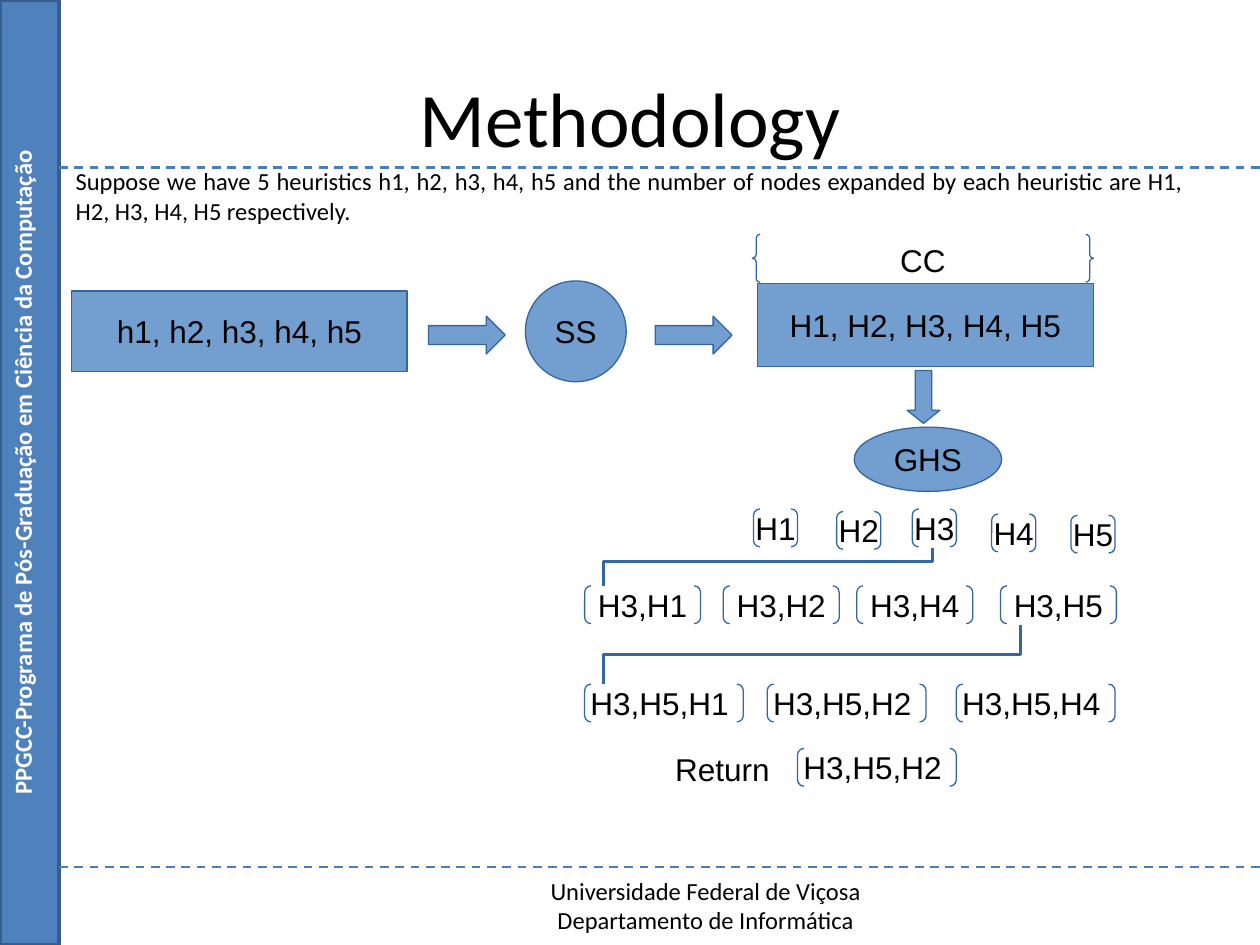
import dataclasses
import lxml.etree
import pptx
import pptx.dml.color
import pptx.enum.dml
import pptx.enum.shapes
import pptx.enum.text
import pptx.oxml.ns
import pptx.util

FORM = pptx.enum.shapes.MSO_SHAPE
LINK = pptx.enum.shapes.MSO_CONNECTOR
SIDE = pptx.enum.text.PP_ALIGN
HOLD = pptx.enum.text.MSO_ANCHOR
COLS, ROWS = 100, 75


@dataclasses.dataclass(frozen=True)
class Theme:
    ink: str = "000000"
    pale: str = "FFFFFF"
    bar: str = "4F81BD"
    rim: str = "385D8A"
    rule: str = "4A7EBB"
    fill: str = "729FCF"
    edge: str = "3465A4"
    prose: str = "Calibri"
    label: str = "Arial"
    head: int = 44
    node: int = 18
    note: int = 14


LOOK = Theme()


def grid(*cells):
    return [pptx.util.Inches(cell / 10) for cell in cells]


def tint(code):
    return pptx.dml.color.RGBColor.from_string(code)


def write(frame, lines, size, face, color=LOOK.ink, align=SIDE.CENTER, bold=False):
    for rank, line in enumerate(lines):
        para = frame.paragraphs[0] if rank == 0 else frame.add_paragraph()
        para.alignment = align
        para.space_before = pptx.util.Pt(0)
        run = para.add_run()
        run.text = line
        run.font.size = pptx.util.Pt(size)
        run.font.name = face
        run.font.bold = bold
        run.font.color.rgb = tint(color)


def place(item, cells):
    item.left, item.top, item.width, item.height = grid(*cells)


def note(slide, cells, lines, size, face, turn=0, **style):
    box = slide.shapes.add_textbox(*grid(*cells))
    box.rotation = turn
    box.text_frame.word_wrap = True
    write(box.text_frame, lines, size, face, **style)


def node(slide, form, cells, text="", fill=LOOK.fill, edge=LOOK.edge, width=0, bends=()):
    item = slide.shapes.add_shape(form, *grid(*cells))
    item.shadow.inherit = False
    if fill:
        item.fill.solid()
        item.fill.fore_color.rgb = tint(fill)
    else:
        item.fill.background()
    item.line.color.rgb = tint(edge)
    item.line.width = pptx.util.Pt(width)
    for rank, bend in enumerate(bends):
        item.adjustments[rank] = bend
    if text:
        item.text_frame.word_wrap = False
        item.text_frame.vertical_anchor = HOLD.MIDDLE
        write(item.text_frame, [text], LOOK.node, LOOK.label)


def group(slide, left, top, width, text):
    node(slide, FORM.DOUBLE_BRACKET, (left, top, width, 3), text, fill=None, bends=(0.17,))


def link(slide, kind, cells, color, width):
    item = slide.shapes.add_connector(kind, *grid(*cells))
    item.line.color.rgb = tint(color)
    item.line.width = pptx.util.Pt(width)
    lxml.etree.SubElement(item._element.spPr, pptx.oxml.ns.qn("a:effectLst"))
    return item


def rule(slide, row):
    item = link(slide, LINK.STRAIGHT, (4.7, row, COLS, row), LOOK.rule, 1.25)
    item.line.dash_style = pptx.enum.dml.MSO_LINE.DASH


def elbow(slide, right, top, left, base, bend):
    midx, midy = (left + right) / 2, (top + base) / 2
    halfx, halfy = (base - top) / 2, (right - left) / 2
    ends = (midx - halfx, midy - halfy, midx + halfx, midy + halfy)
    item = link(slide, LINK.ELBOW, ends, LOOK.edge, 0)
    props = item._element.spPr
    props.find(pptx.oxml.ns.qn("a:xfrm")).set("rot", "5400000")
    values = props.find(".//" + pptx.oxml.ns.qn("a:avLst"))
    guide = lxml.etree.SubElement(values, pptx.oxml.ns.qn("a:gd"))
    guide.set("name", "adj1")
    guide.set("fmla", f"val {round(bend * 100000)}")


def heads(slide):
    title, body = slide.placeholders
    place(title, (5, 3, 90, 12.5))
    title.text_frame.vertical_anchor = HOLD.MIDDLE
    write(title.text_frame, ["Methodology"], LOOK.head, LOOK.prose)
    place(body, (5, 12.7, 90, 53.9))
    props = body.text_frame.paragraphs[0]._p.get_or_add_pPr()
    props.set("marL", "0")
    props.set("indent", "0")
    lxml.etree.SubElement(props, pptx.oxml.ns.qn("a:buNone"))
    write(body.text_frame, [
        "Suppose we have 5 heuristics h1, h2, h3, h4, h5 and the number of nodes "
        "expanded by each heuristic are H1, H2, H3, H4, H5 respectively."
    ], LOOK.note, LOOK.prose, align=SIDE.JUSTIFY)


def trim(slide):
    node(slide, FORM.RECTANGLE, (0, 0, 4.7, ROWS), fill=LOOK.bar, edge=LOOK.rim, width=2)
    for row in (13.3, 68.8):
        rule(slide, row)
    note(slide, (22.4, 69, 67.2, 5.7),
         ["Universidade Federal de Viçosa", "Departamento de Informática"],
         LOOK.note, LOOK.prose)
    note(slide, (-35.7, 35.8, ROWS, 3.4),
         ["PPGCC-Programa de Pós-Graduação em Ciência da Computação"],
         LOOK.note, LOOK.prose, turn=270, color=LOOK.pale, bold=True)


def flow(slide):
    node(slide, FORM.RECTANGLE, (5.7, 23.1, 26.6, 6.4), "h1, h2, h3, h4, h5")
    for left in (34, 52):
        node(slide, FORM.RIGHT_ARROW, (left, 25.1, 6.1, 3))
    node(slide, FORM.OVAL, (41.7, 22.3, 8, 8), "SS")
    node(slide, FORM.RECTANGLE, (60.1, 22.5, 26.7, 6.6), "H1, H2, H3, H4, H5")
    node(slide, FORM.DOWN_ARROW, (72, 29.4, 2.6, 4.2), bends=(0.5, 0.4))
    node(slide, FORM.OVAL, (67.8, 33.9, 11.7, 5.1), "GHS")
    node(slide, FORM.DOUBLE_BRACE, (59.7, 18.6, 27.1, 3.8), "CC", fill=None)


def search(slide):
    ones = ((59.8, 40.4), (66.4, 40.6), (72.4, 40.4), (78.7, 40.8), (85, 40.9))
    for rank, (left, top) in enumerate(ones, 1):
        group(slide, left, top, 3.5, f"H{rank}")
    for left, last in zip((46.4, 57.4, 68, 79.4), (1, 2, 4, 5)):
        group(slide, left, 46.5, 9.2, f"H3,H{last}")
    for left, top, last in ((46.4, 54.3, 1), (60.9, 54.3, 2), (75.9, 54.3, 4), (63.3, 59.4, 2)):
        group(slide, left, top, 12.6, f"H3,H5,H{last} ")
    elbow(slide, 74, 43.5, 47.9, 46.5, 0.36)
    elbow(slide, 81, 49.6, 47.9, 54.3, 0.5)
    note(slide, (52.6, 59, 36.1, 7), ["Return"], LOOK.node, LOOK.label, align=SIDE.LEFT)


def main():
    deck = pptx.Presentation()
    deck.slide_width, deck.slide_height = grid(COLS, ROWS)
    slide = deck.slides.add_slide(deck.slide_layouts[1])
    for draw in (heads, trim, flow, search):
        draw(slide)
    deck.save("out.pptx")


if __name__ == "__main__":
    main()
